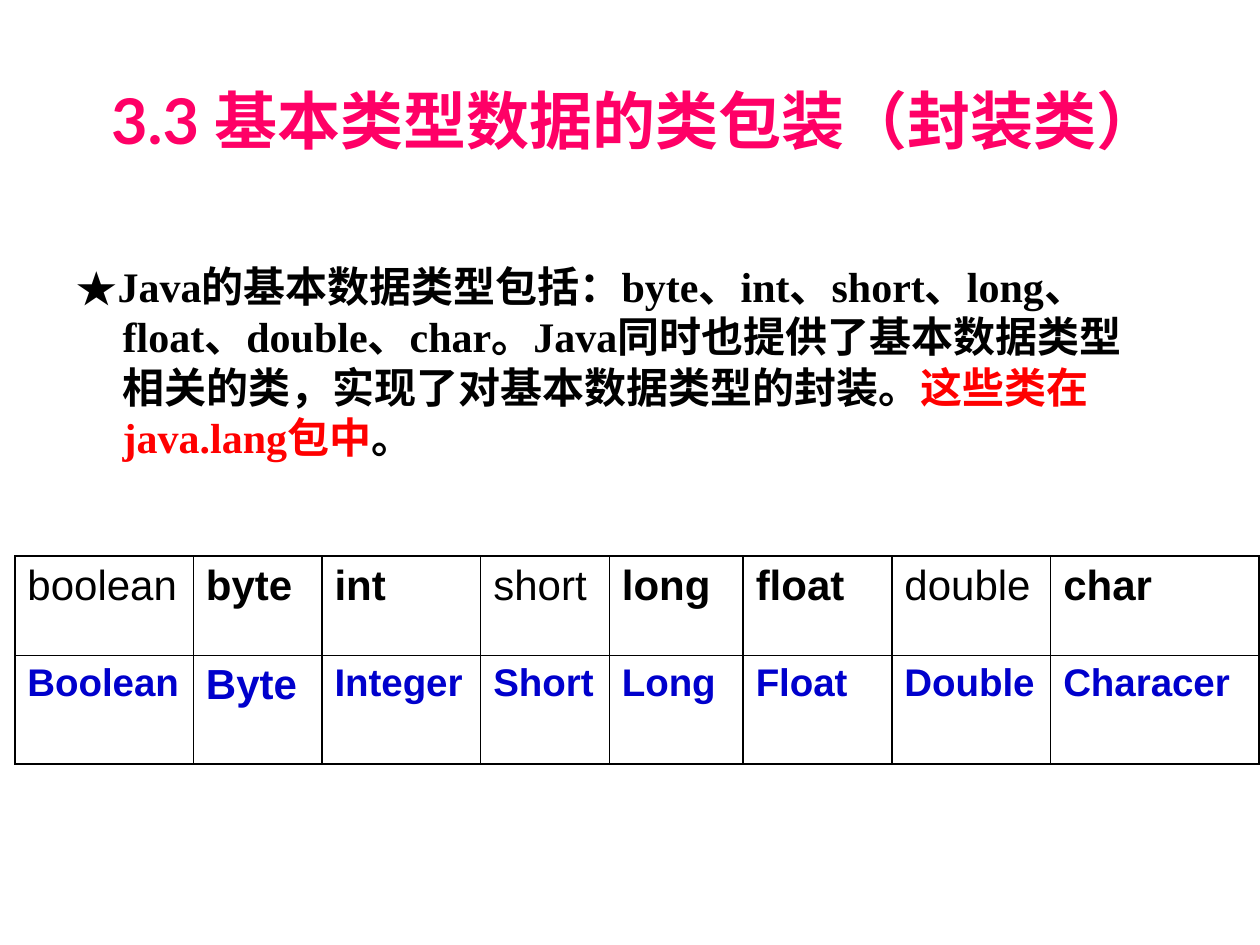
from lxml.etree import SubElement
from pptx import Presentation
from pptx.dml.color import RGBColor
from pptx.enum.text import PP_ALIGN
from pptx.oxml.ns import qn
from pptx.util import Pt

BLACK = RGBColor(0x00, 0x00, 0x00)
RED = RGBColor(0xFF, 0x00, 0x00)
PINK = RGBColor(0xFF, 0x00, 0x66)
BLUE = RGBColor(0x00, 0x00, 0xCC)

TITLE = "3.3 基本类型数据的类包装（封装类）"
BODY = [
    ("★Java的基本数据类型包括：byte、int、short、long、float、double、char。"
     "Java同时也提供了基本数据类型相关的类，实现了对基本数据类型的封装。", BLACK),
    ("这些类在java.lang包中", RED),
    ("。", BLACK),
]
PRIMITIVES = ["boolean", "byte", "int", "short", "long", "float", "double", "char"]
WRAPPERS = ["Boolean", "Byte", "Integer", "Short", "Long", "Float", "Double", "Characer"]
PLAIN = {"boolean", "short", "double"}
COL_WIDTHS = [102, 73.5, 90.75, 73.5, 76.5, 85, 90.75, 119]
ROW_HEIGHTS = [56.75, 62]


def set_font(p, name, size, bold=True):
    p.font.name = name
    p.font.size = Pt(size)
    p.font.bold = bold


def add_text(slide, left, top, width, height, runs, font, size):
    sp = slide.shapes.add_textbox(Pt(left), Pt(top), Pt(width), Pt(height))
    sp.text_frame.word_wrap = True
    p = sp.text_frame.paragraphs[0]
    set_font(p, font, size)
    for text, color in runs:
        r = p.add_run()
        r.text = text
        r.font.color.rgb = color
    return p


def set_hanging(p, indent):
    pPr = p._p.get_or_add_pPr()
    pPr.set("marL", str(Pt(indent)))
    pPr.set("indent", str(-Pt(indent)))


def set_borders(cell):
    tcPr = cell._tc.get_or_add_tcPr()
    for side in ("a:lnL", "a:lnR", "a:lnT", "a:lnB"):
        ln = SubElement(tcPr, qn(side), w=str(Pt(1)))
        fill = SubElement(ln, qn("a:solidFill"))
        SubElement(fill, qn("a:srgbClr"), val=str(BLACK))


def fill_cell(cell, text, size, bold, color):
    set_borders(cell)
    cell.fill.background()
    cell.text = text
    p = cell.text_frame.paragraphs[0]
    set_font(p, "Arial", size, bold)
    p.font.color.rgb = color


def add_type_table(slide, left, top):
    frame = slide.shapes.add_table(
        len(ROW_HEIGHTS), len(COL_WIDTHS), Pt(left), Pt(top),
        Pt(sum(COL_WIDTHS)), Pt(sum(ROW_HEIGHTS)))
    table = frame.table
    table.first_row = table.horz_banding = False
    for row, height in zip(table.rows, ROW_HEIGHTS):
        row.height = Pt(height)
    for i, (width, primitive, wrapper) in enumerate(zip(COL_WIDTHS, PRIMITIVES, WRAPPERS)):
        table.columns[i].width = Pt(width)
        fill_cell(table.cell(0, i), primitive, 24, primitive not in PLAIN, BLACK)
        fill_cell(table.cell(1, i), wrapper, 24 if wrapper == "Byte" else 22, True, BLUE)


def main():
    """Build the slide on wrapper classes for Java's primitive types."""
    prs = Presentation()
    prs.slide_width, prs.slide_height = Pt(720), Pt(540)
    slide = prs.slides.add_slide(prs.slide_layouts[6])
    p = add_text(slide, 36, 145.25, 625, 335, BODY, "Times New Roman", 24)
    set_hanging(p, 27)
    p = add_text(slide, 54, 43, 618, 51, [(TITLE, PINK)], "Lato", 36)
    p.alignment = PP_ALIGN.CENTER
    add_type_table(slide, 8.5, 317.75)
    prs.save("out.pptx")


if __name__ == "__main__":
    main()
